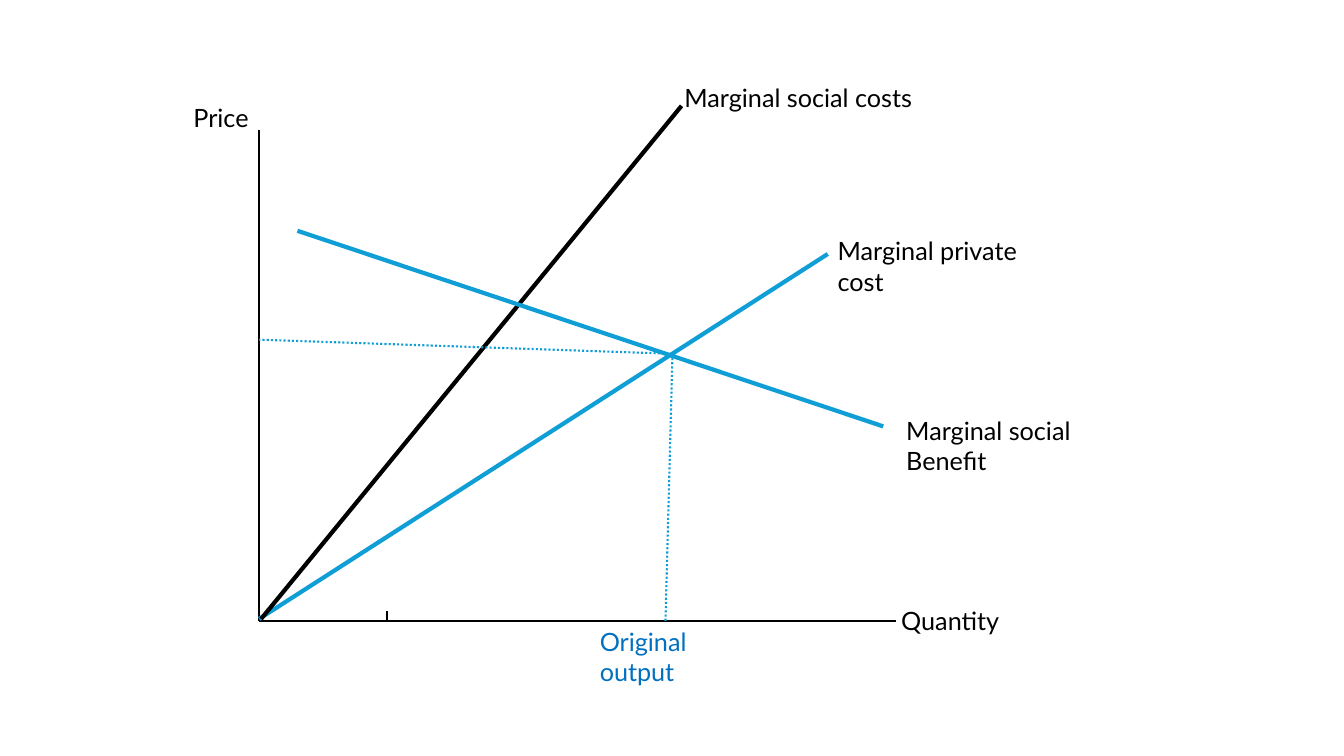
from pptx import Presentation
from pptx.dml.color import RGBColor
from pptx.enum.dml import MSO_LINE_DASH_STYLE as Dash
from pptx.enum.shapes import MSO_CONNECTOR as Connector
from pptx.enum.text import MSO_AUTO_SIZE as AutoSize
from pptx.oxml.ns import qn
from pptx.util import Inches, Pt
from lxml import etree

BLACK, CURVE_BLUE, LABEL_BLUE = "000000", "0F9ED5", "0070C0"
FONT = "Lato"
AXIS_X, AXIS_Y = 2.57, 6.16
EQUILIBRIUM = (6.67, 3.51)


def color(hex_string):
    return RGBColor.from_string(hex_string)


def add_line(slide, start, end, hex_color=BLACK, width=1.5, dotted=False):
    points = [Inches(value) for value in (*start, *end)]
    line = slide.shapes.add_connector(Connector.STRAIGHT, *points)
    line.line.color.rgb = color(hex_color)
    line.line.width = Pt(width)
    if dotted:
        line.line.dash_style = Dash.ROUND_DOT
    # An empty effect list removes the theme shadow
    etree.SubElement(line._element.spPr, qn("a:effectLst"))


def add_label(slide, text, left, top, width, height=0.4, hex_color=BLACK, wrap=True):
    box = slide.shapes.add_textbox(
        Inches(left), Inches(top), Inches(width), Inches(height))
    frame = box.text_frame
    frame.word_wrap = wrap
    frame.auto_size = AutoSize.SHAPE_TO_FIT_TEXT
    span = frame.paragraphs[0].add_run()
    span.text = text
    span.font.name = FONT
    span.font.size = Pt(18)
    span.font.color.rgb = color(hex_color)


def main():
    deck = Presentation()
    deck.slide_width, deck.slide_height = Inches(13.33), Inches(7.5)
    slide = deck.slides.add_slide(deck.slide_layouts[6])

    # Axes and tick mark
    add_line(slide, (AXIS_X, 1.29), (AXIS_X, AXIS_Y))
    add_line(slide, (AXIS_X, AXIS_Y), (8.89, AXIS_Y))
    add_line(slide, (3.84, 6.06), (3.84, AXIS_Y))

    # Private cost, social cost and social benefit curves
    add_line(slide, (AXIS_X, 6.14), (8.21, 2.52), CURVE_BLUE, 3)
    add_line(slide, (2.59, 6.14), (6.76, 1.05), BLACK, 3)
    add_line(slide, (2.95, 2.29), (8.76, 4.23), CURVE_BLUE, 3)

    # Guides from the equilibrium to both axes
    for axis_point in ((6.6, 6.17), (AXIS_X, 3.37)):
        add_line(slide, EQUILIBRIUM, axis_point, CURVE_BLUE, dotted=True)

    # Axis labels
    add_label(slide, "Original output", 5.85, AXIS_Y, 1.82, hex_color=LABEL_BLUE)
    add_label(slide, "Quantity", 8.84, 5.96, 1.32)
    add_label(slide, "Price", 1.82, 0.97, 0.76, wrap=False)

    # Curve labels
    add_label(slide, "Marginal social costs", 6.69, 0.77, 2.6)
    add_label(slide, "Marginal private cost", 8.21, 2.29, 2.46)
    add_label(slide, "Marginal social Benefit", 8.89, 4.07, 2.3, 0.71)

    deck.save("out.pptx")


if __name__ == "__main__":
    main()
